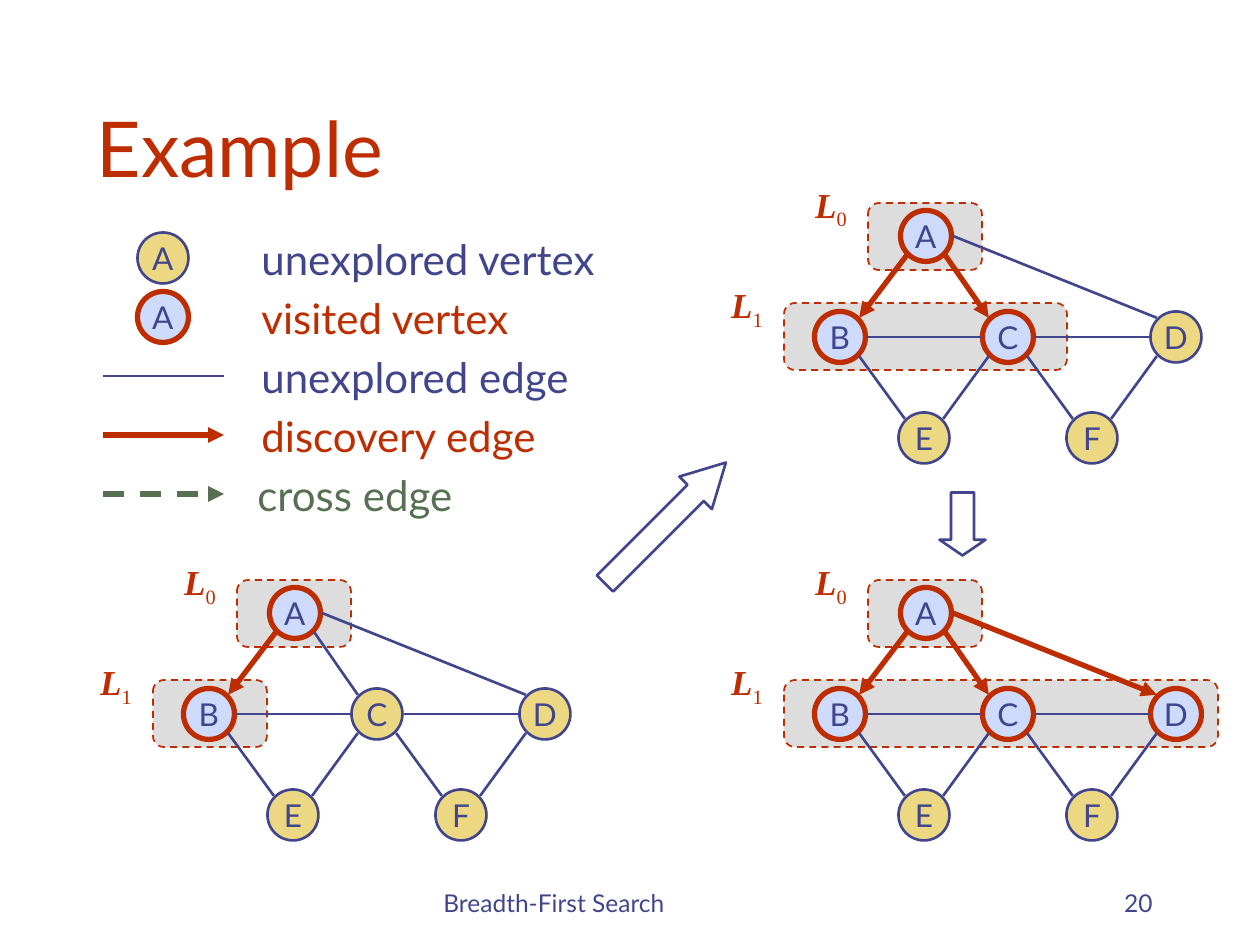
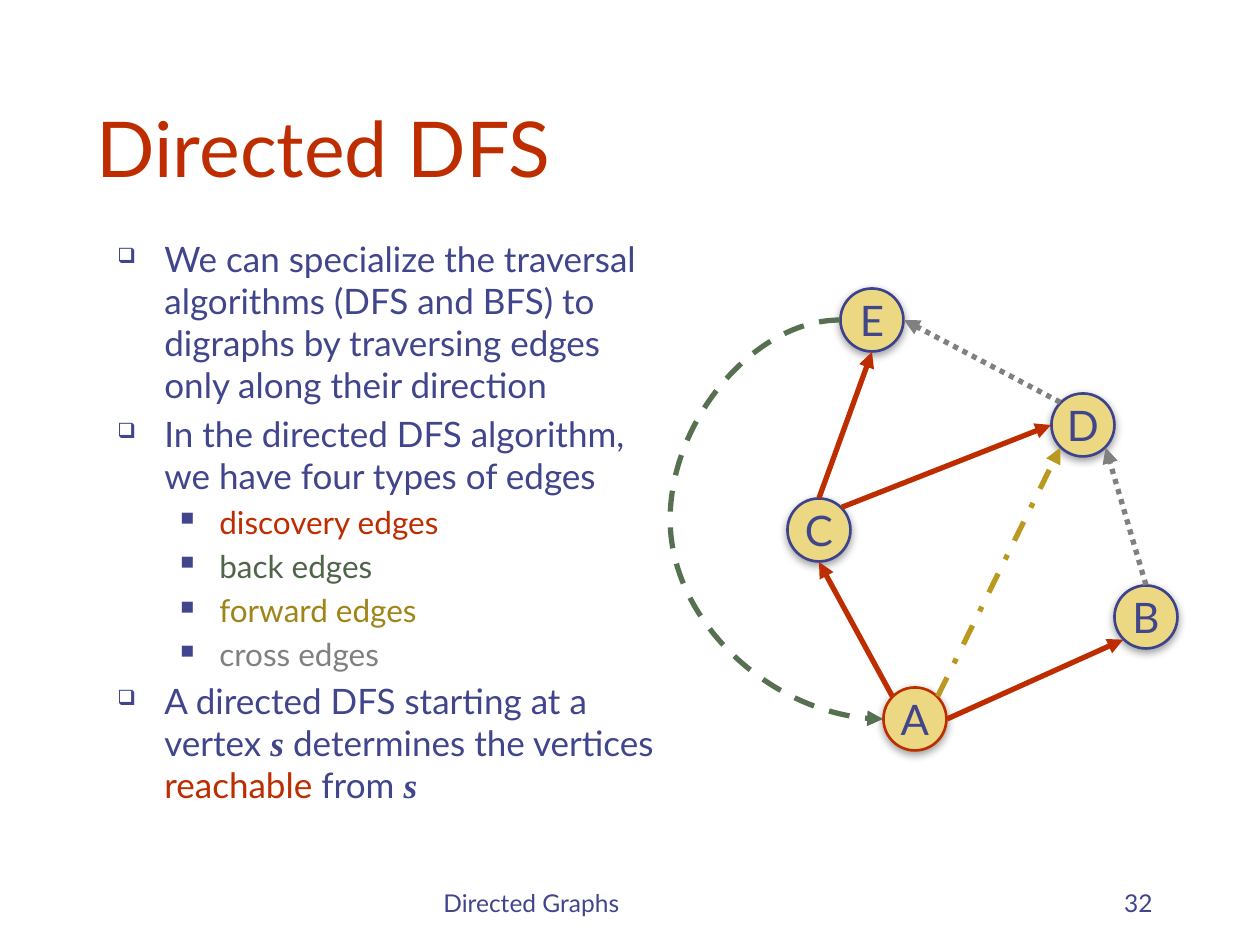
from lxml import etree
from pptx import Presentation
from pptx.dml.color import RGBColor
from pptx.enum.dml import MSO_LINE
from pptx.enum.shapes import MSO_CONNECTOR, MSO_SHAPE
from pptx.enum.text import MSO_ANCHOR, MSO_AUTO_SIZE, PP_ALIGN
from pptx.oxml.ns import qn
from pptx.util import Emu, Pt

INK, RED, GREEN = "40458C", "BE2D00", "577052"
SAND, PALE, GREY_FILL = "ECD882", "CFDBFD", "DDDDDD"
OUTLINE, GREY, GOLD = "3C428B", "808080", "BA9921"
DARK_GREEN, DARK_GOLD = "4E6549", "9F8518"
SANS, SERIF = "Lato", "Times New Roman"

PX_PER_INCH = 126
SITES = {"N": (0, -1), "S": (0, 1), "E": (1, 0), "W": (-1, 0),
         "NE": (0.71, -0.71), "NW": (-0.71, -0.71),
         "SE": (0.71, 0.71), "SW": (-0.71, 0.71)}


def px(value):
    return Emu(round(value * 914400 / PX_PER_INCH))


def rgb(color):
    return RGBColor.from_string(color)


def add_xml(parent, tag, **attrs):
    return etree.SubElement(parent, qn(tag), **attrs)


def site(center, radius, name):
    """Point on the rim of a circle at a compass direction."""
    dx, dy = SITES[name]
    return center[0] + dx * radius, center[1] + dy * radius


class Deck:
    """Presentation style together with the slide being drawn."""

    def __init__(self):
        self.prs = Presentation()
        self.prs.slide_width = px(1260)
        self.prs.slide_height = px(945)
        self.s = None

    def slide(self, title, footer, number):
        self.s = self.prs.slides.add_slide(self.prs.slide_layouts[5])
        sp = self.s.shapes.title
        sp.left, sp.top, sp.width, sp.height = map(px, (84, 42, 1071, 157))
        tf = sp.text_frame
        tf.auto_size = MSO_AUTO_SIZE.NONE
        tf.vertical_anchor = MSO_ANCHOR.BOTTOM
        tf.paragraphs[0].alignment = PP_ALIGN.LEFT
        self.run(tf.paragraphs[0], title, 44, RED)
        self.text((431, 861, 399, 63), footer, 14, anchor=MSO_ANCHOR.BOTTOM)
        self.text((903, 861, 262, 63), number, 14, align=PP_ALIGN.RIGHT,
                  anchor=MSO_ANCHOR.BOTTOM)

    def run(self, p, text, size, color=INK, font=SANS, strong=False):
        r = p.add_run()
        r.text = text
        r.font.size, r.font.name = Pt(size), font
        r.font.bold = r.font.italic = strong
        r.font.color.rgb = rgb(color)
        return r

    def frame(self, box):
        tf = self.s.shapes.add_textbox(*map(px, box)).text_frame
        tf.word_wrap = True
        return tf

    def text(self, box, text, size, color=INK, align=PP_ALIGN.LEFT,
             anchor=MSO_ANCHOR.TOP):
        tf = self.frame(box)
        tf.vertical_anchor = anchor
        tf.paragraphs[0].alignment = align
        self.run(tf.paragraphs[0], text, size, color)

    def level_label(self, x, y, index):
        p = self.frame((x, y, 64, 54)).paragraphs[0]
        p.alignment = PP_ALIGN.CENTER
        self.run(p, "L", 20, RED, SERIF, strong=True)
        r = self.run(p, index, 20, RED, SERIF)
        r.font._element.set("baseline", "-25000")

    def bullets(self, box, items):
        """Items are (level, runs); each run is (text, color, is_variable)."""
        tf = self.frame(box)
        for i, (level, runs) in enumerate(items):
            p = tf.paragraphs[0] if i == 0 else tf.add_paragraph()
            size, char, left, hang = ((20, "❑", 47, 47), (18, "■", 102, 39))[level]
            p.level = level
            if i:
                p.space_before = Pt(size * 0.2)
            pPr = p._p.get_or_add_pPr()
            pPr.set("marL", str(px(left)))
            pPr.set("indent", str(px(-hang)))
            add_xml(add_xml(pPr, "a:buClr"), "a:srgbClr", val=INK)
            add_xml(pPr, "a:buSzPct", val="60000")
            add_xml(pPr, "a:buChar", char=char)
            for text, color, variable in runs:
                self.run(p, text, size, color, SERIF if variable else SANS, variable)

    def shape(self, kind, box, fill, line, width, dash=None):
        sp = self.s.shapes.add_shape(kind, *map(px, box))
        sp.shadow.inherit = False
        if fill:
            sp.fill.solid()
            sp.fill.fore_color.rgb = rgb(fill)
        else:
            sp.fill.background()
        sp.line.color.rgb = rgb(line)
        sp.line.width = Pt(width)
        if dash:
            sp.line.dash_style = dash
        return sp

    def band(self, x, y, width):
        self.shape(MSO_SHAPE.ROUNDED_RECTANGLE, (x, y, width, 67),
                   GREY_FILL, RED, 1, MSO_LINE.DASH)

    def block_arrow(self, box, rotation, head):
        sp = self.shape(MSO_SHAPE.RIGHT_ARROW, box, None, INK, 1.5)
        sp.rotation = rotation
        sp.adjustments[0], sp.adjustments[1] = 0.5, head

    def vertex(self, name, center, diameter, size, fill=SAND, line=INK, width=1.5):
        x, y = (c - diameter / 2 for c in center)
        sp = self.shape(MSO_SHAPE.OVAL, (x, y, diameter, diameter), fill, line, width)
        tf = sp.text_frame
        tf.word_wrap = False
        tf.vertical_anchor = MSO_ANCHOR.MIDDLE
        tf.paragraphs[0].alignment = PP_ALIGN.CENTER
        self.run(tf.paragraphs[0], name, size)
        return sp

    def shadow(self, sp):
        effects = sp._element.spPr.find(qn("a:effectLst"))
        outer = add_xml(effects, "a:outerShdw", blurRad=str(Pt(5)), dist=str(Pt(1.6)),
                        dir="5400000", rotWithShape="0")
        add_xml(add_xml(outer, "a:srgbClr", val="000000"), "a:alpha", val="38000")

    def edge(self, start, end, color=INK, width=1.5, dash=None, arrow=False, bend=None):
        """Straight edge, or a curve whose bend is a share of its width."""
        kind = MSO_CONNECTOR.STRAIGHT if bend is None else MSO_CONNECTOR.CURVE
        c = self.s.shapes.add_connector(kind, *map(px, (*start, *end)))
        c.line.color.rgb = rgb(color)
        c.line.width = Pt(width)
        if dash:
            c.line.dash_style = dash
        spPr = c._element.spPr
        if arrow:
            add_xml(spPr.find(qn("a:ln")), "a:tailEnd", type="triangle")
        if bend is not None:
            guides = spPr.find(qn("a:prstGeom")).find(qn("a:avLst"))
            add_xml(guides, "a:gd", name="adj1", fmla=f"val {round(bend * 100000)}")
        add_xml(spPr, "a:effectLst")


BFS_VERTICES = {"A": (295, 613), "B": (209, 714), "C": (377, 714),
                "D": (545, 714), "E": (293, 815), "F": (461, 815)}
BFS_EDGES = [("A", "SW", "B", "NE"), ("A", "SE", "C", "NW"), ("A", "E", "D", "NW"),
             ("B", "E", "C", "W"), ("C", "E", "D", "W"), ("B", "SE", "E", "NW"),
             ("C", "SW", "E", "NE"), ("C", "SE", "F", "NW"), ("D", "SW", "F", "NE")]


def bfs_vertex(deck, name, center, visited):
    style = (PALE, RED, 3) if visited else (SAND, INK, 1.5)
    deck.vertex(name, center, 51, 18, *style)


def bfs_step(deck, dx, dy, visited, level_1_width):
    """One stage of the search; every visited vertex was discovered from A."""
    deck.band(153 + dx, 680 + dy, level_1_width)
    deck.band(237 + dx, 580 + dy, 114)
    deck.level_label(168 + dx, 554 + dy, "0")
    deck.level_label(84 + dx, 654 + dy, "1")
    centers = {n: (x + dx, y + dy) for n, (x, y) in BFS_VERTICES.items()}
    for name, center in centers.items():
        bfs_vertex(deck, name, center, name in visited)
    for a, a_site, b, b_site in BFS_EDGES:
        found = a == "A" and b in visited
        deck.edge(site(centers[a], 27, a_site), site(centers[b], 27, b_site),
                  RED if found else INK, 3 if found else 1.5, arrow=found)


def example_slide(deck):
    deck.slide("Example", "Breadth-First Search", "20")
    legend = [("unexplored vertex", INK), ("visited vertex", RED),
              ("unexplored edge", INK), ("discovery edge", RED), ("cross edge", GREEN)]
    for i, (label, color) in enumerate(legend):
        y = 258 + 59 * i
        deck.text((245 if color == GREEN else 249, y - 31, 400, 63), label, 24, color)
        if i < 2:
            bfs_vertex(deck, "A", (163, y), color == RED)
        else:
            arrow = color != INK
            deck.edge((103, y), (224, y), color, 3 if arrow else 1.5,
                      MSO_LINE.DASH if color == GREEN else None, arrow)
    bfs_step(deck, 0, 0, "AB", 114)
    bfs_step(deck, 631, -377, "ABC", 283)
    bfs_step(deck, 631, 0, "ABCD", 434)
    deck.block_arrow((580, 500, 171, 46), 315, 0.93)
    deck.block_arrow((931, 501, 63, 46), 90, 0.34)


def directed_dfs_slide(deck):
    deck.slide("Directed DFS", "Directed Graphs", "32")
    deck.bullets((105, 231, 577, 630), [
        (0, [("We can specialize the traversal algorithms (DFS and BFS) to digraphs "
              "by traversing edges only along their direction", INK, False)]),
        (0, [("In the directed DFS algorithm, we have four types of edges", INK, False)]),
        (1, [("discovery edges", RED, False)]),
        (1, [("back edges", DARK_GREEN, False)]),
        (1, [("forward edges", DARK_GOLD, False)]),
        (1, [("cross edges", GREY, False)]),
        (0, [("A directed DFS starting at a vertex ", INK, False), ("s", INK, True),
             (" determines the vertices ", INK, False), ("reachable", RED, False),
             (" from ", INK, False), ("s", INK, True)])])

    centers = {"A": (915, 719), "C": (819, 530), "E": (872, 320),
               "B": (1146, 617), "D": (1083, 425)}
    for name, center in centers.items():
        deck.shadow(deck.vertex(name, center, 63, 24,
                                line=RED if name == "A" else OUTLINE))
    discovery, cross = (RED, None), (GREY, MSO_LINE.ROUND_DOT)
    forward, back = (GOLD, MSO_LINE.DASH_DOT), (GREEN, MSO_LINE.DASH)
    edges = [("A", "NW", "C", "S", discovery), ("A", "E", "B", "SW", discovery),
             ("C", "N", "E", "S", discovery), ("D", "NW", "E", "E", cross),
             ("B", "N", "D", "SE", cross), ("A", "NE", "D", "SW", forward),
             ("C", "NE", "D", "W", discovery), ("E", "W", "A", "W", back)]
    for a, a_site, b, b_site, style in edges:
        deck.edge(site(centers[a], 32, a_site), site(centers[b], 32, b_site),
                  style[0], 3, style[1], arrow=True,
                  bend=-3.95 if style == back else None)


def main():
    deck = Deck()
    example_slide(deck)
    directed_dfs_slide(deck)
    deck.prs.save("out.pptx")


if __name__ == "__main__":
    main()
